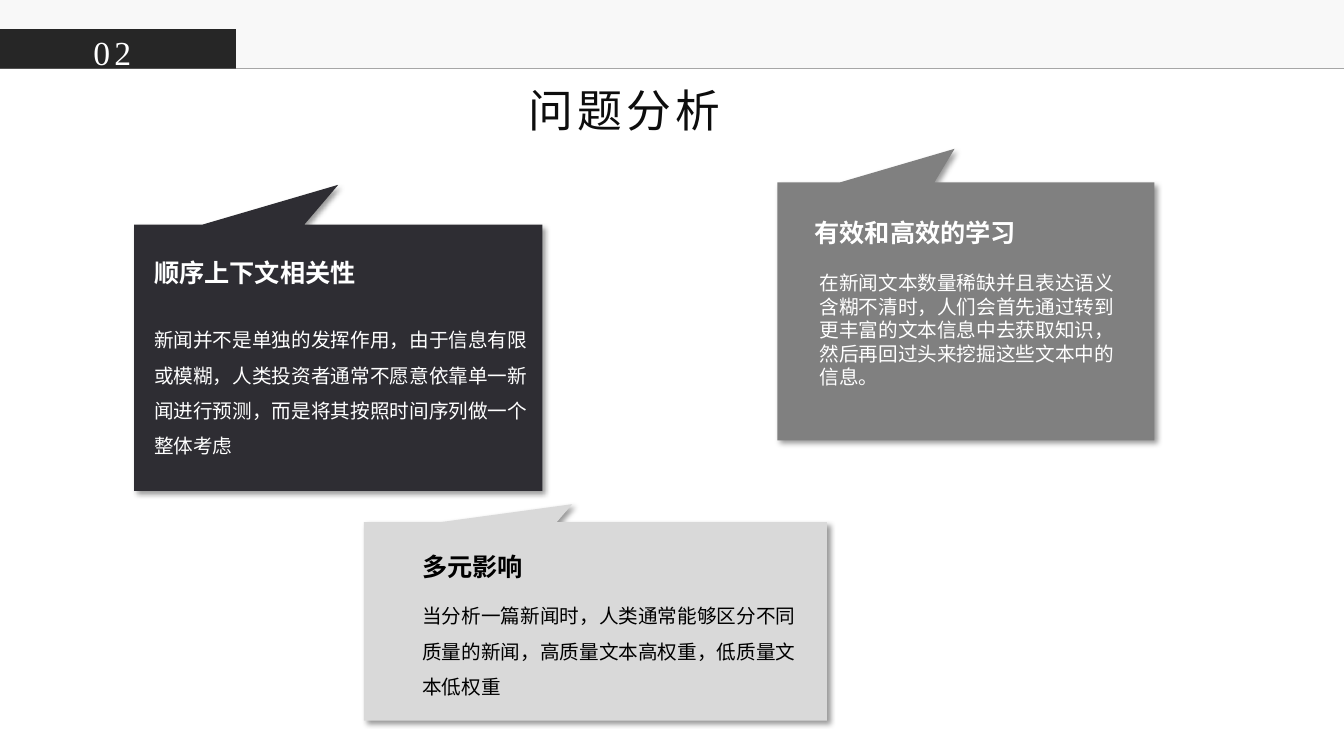
import pptx
import pptx.dml.color
import pptx.enum.shapes
import pptx.enum.text
import pptx.oxml
import pptx.oxml.ns
import pptx.util

PX = 9144
PAGE_SIZE = (1333, 750)
SECTION = ("02", (43, 27, 137, 50))
TITLE = ("问题分析", (514, 77, 443, 64))
BAND = ((0, 0, 1333, 68), "F2F2F2")
TAB = ((0, 29, 234, 39), "262626")
RULE = ((0, 68, 1333, 68), "A6A6A6")

CALLOUTS = [
    {
        "area": (133, 223, 405, 264), "tip": (0, 0.65),
        "fill": "2E2D33", "color": "FFFFFF",
        "heading": ("顺序上下文相关性", (143, 250, 222, 46)),
        "body": ("新闻并不是单独的发挥作用，由于信息有限或模糊，人类投资者通常不愿意依靠单一新闻进行预测，而是将其按照时间序列做一个整体考虑",
                 (143, 309, 395, 168)),
        "spacing": 1.5,
    },
    {
        "area": (361, 518, 459, 197), "tip": (-0.05, 0.59),
        "fill": "D9D9D9", "color": "000000",
        "heading": ("多元影响", (409, 542, 195, 52)),
        "body": ("当分析一篇新闻时，人类通常能够区分不同质量的新闻，高质量文本高权重，低质量文本低权重",
                 (409, 583, 398, 143)),
        "spacing": 1.5,
    },
    {
        "area": (771, 181, 374, 256), "tip": (-0.03, 0.63),
        "fill": "808080", "color": "FFFFFF",
        "heading": ("有效和高效的学习", (798, 211, 277, 40)),
        "body": ("在新闻文本数量稀缺并且表达语义含糊不清时，人们会首先通过转到更丰富的文本信息中去获取知识，然后再回过头来挖掘这些文本中的信息。",
                 (803, 264, 327, 128)),
        "spacing": 1.0,
    },
]

HEADING_FONT = {"name": "Arial", "size": pptx.util.Pt(18), "bold": True}
BODY_FONT = {"name": "Arial", "size": pptx.util.Pt(14)}
TITLE_FONT = {"name": "Arial", "size": pptx.util.Pt(32)}
SECTION_FONT = {"name": "Times New Roman", "size": pptx.util.Pt(24)}
FRAME_FORMAT = {
    "word_wrap": True,
    "auto_size": pptx.enum.text.MSO_AUTO_SIZE.SHAPE_TO_FIT_TEXT,
    "vertical_anchor": pptx.enum.text.MSO_ANCHOR.TOP,
}
LEFT = pptx.enum.text.PP_ALIGN.LEFT
CENTER = pptx.enum.text.PP_ALIGN.CENTER
SHAPES = pptx.enum.shapes.MSO_SHAPE
SHADOW_XML = (
    f'<a:outerShdw {pptx.oxml.ns.nsdecls("a")} blurRad="50800" dist="38100" '
    'dir="2700000" algn="tl" rotWithShape="0">'
    '<a:srgbClr val="000000"><a:alpha val="40000"/></a:srgbClr></a:outerShdw>'
)


def rgb(value):
    return pptx.dml.color.RGBColor.from_string(value)


def scaled(lengths):
    return [length * PX for length in lengths]


def apply_format(target, values):
    for name, value in values.items():
        setattr(target, name, value)


def add_block(shapes, kind, area, color):
    block = shapes.add_shape(kind, *scaled(area))
    block.fill.solid()
    block.fill.fore_color.rgb = rgb(color)
    block.line.fill.background()
    block.shadow.inherit = False
    return block


def write_text(box, text, font, color, align=LEFT, line_spacing=1.0, tracking=None):
    apply_format(box.text_frame, FRAME_FORMAT)
    para = box.text_frame.paragraphs[0]
    apply_format(para, {"alignment": align, "line_spacing": line_spacing})
    span = para.add_run()
    span.text = text
    apply_format(span.font, font)
    span.font.color.rgb = rgb(color)
    if tracking:
        span.font._element.set("spc", str(tracking * 100))


def add_header(page):
    band = add_block(page.shapes, SHAPES.RECTANGLE, *BAND)
    tint = band._element.spPr.find(".//" + pptx.oxml.ns.qn("a:srgbClr"))
    tint.append(pptx.oxml.parse_xml(
        f'<a:alpha {pptx.oxml.ns.nsdecls("a")} val="50000"/>'))
    ends, color = RULE
    rule = page.shapes.add_connector(
        pptx.enum.shapes.MSO_CONNECTOR.STRAIGHT, *scaled(ends))
    rule.line.color.rgb = rgb(color)
    rule.line.width = pptx.util.Pt(0.5)
    rule._element.spPr.append(pptx.oxml.parse_xml(
        f'<a:effectLst {pptx.oxml.ns.nsdecls("a")}/>'))
    add_block(page.shapes, SHAPES.RECTANGLE, *TAB)
    text, area = SECTION
    box = page.shapes.add_textbox(*scaled(area))
    write_text(box, text, SECTION_FONT, "FFFFFF", align=CENTER, tracking=3)


def add_title(page):
    text, area = TITLE
    title = page.shapes.title
    apply_format(title, dict(zip(("left", "top", "width", "height"), scaled(area))))
    write_text(title, text, TITLE_FONT, "0D0D0D", tracking=3)


def add_callout(page, callout):
    group = page.shapes.add_group_shape()
    bubble = add_block(group.shapes, SHAPES.RECTANGULAR_CALLOUT,
                       callout["area"], callout["fill"])
    bubble._element.spPr.xfrm.set("flipV", "1")
    for index, value in enumerate(callout["tip"]):
        bubble.adjustments[index] = value
    effects = bubble._element.spPr.find(pptx.oxml.ns.qn("a:effectLst"))
    effects.append(pptx.oxml.parse_xml(SHADOW_XML))
    for part, font, spacing in (("body", BODY_FONT, callout["spacing"]),
                                ("heading", HEADING_FONT, 1.0)):
        text, area = callout[part]
        box = group.shapes.add_textbox(*scaled(area))
        write_text(box, text, font, callout["color"], line_spacing=spacing)


def main():
    deck = pptx.Presentation()
    deck.slide_width, deck.slide_height = scaled(PAGE_SIZE)
    page = deck.slides.add_slide(deck.slide_layouts[5])
    add_header(page)
    add_title(page)
    for callout in CALLOUTS:
        add_callout(page, callout)
    deck.save("out.pptx")


if __name__ == "__main__":
    main()
